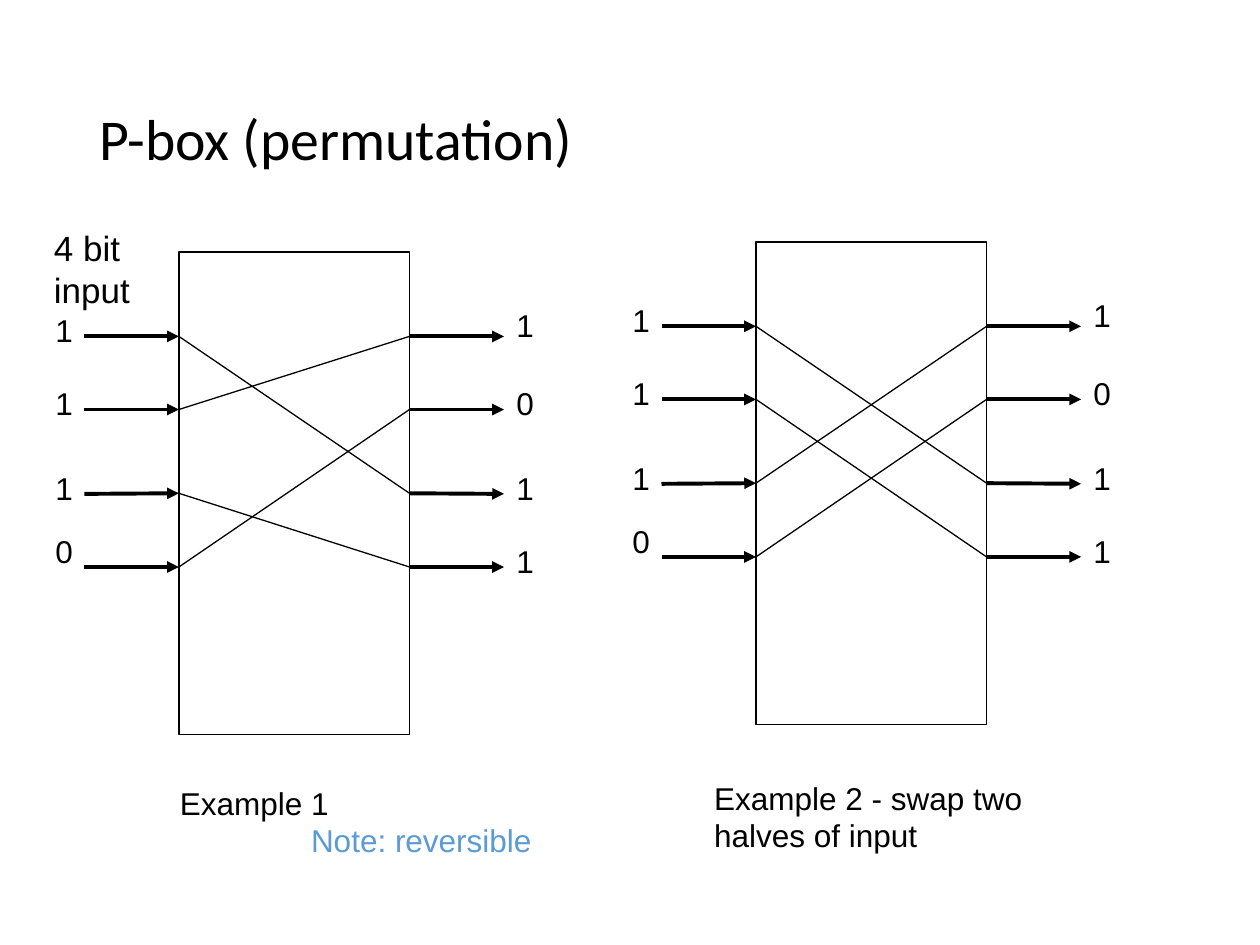
"""Build the slide that explains permutation boxes with two examples."""
from lxml import etree
from pptx import Presentation
from pptx.dml.color import RGBColor
from pptx.enum import shapes, text
from pptx.oxml import ns
from pptx.util import Inches, Pt

BLACK = RGBColor(0x00, 0x00, 0x00)
NOTE_BLUE = RGBColor(0x5B, 0x9B, 0xD5)

BOX_WIDTH, BOX_HEIGHT = 1.83, 3.83
ARROW_LENGTH = 0.75
LEFT_SIDE, RIGHT_SIDE = 1, 3
WIRE_ROWS = (0.67, 1.25, 1.92, 2.5)
MIDDLE_ROW = 2
INPUT_ROWS = (0.42, 1, 1.67, 2.17)
OUTPUT_ROWS = (0.38, 1, 1.67, 2.25)
INPUT_BITS, OUTPUT_BITS = "1110", "1011"


def write(paragraph, content, size=18, font="Arial", color=BLACK, indent=0, spacing=None):
    """Put formatted text into a paragraph."""
    paragraph.alignment = text.PP_ALIGN.LEFT
    paragraph.line_spacing = spacing
    if indent:
        paragraph._p.get_or_add_pPr().set("marL", str(Inches(indent)))
    run = paragraph.add_run()
    run.text = content
    run.font.size = Pt(size)
    run.font.name = font
    run.font.color.rgb = color


class PermutationSlide:
    """Hold the slide and its style, and add each kind of element."""

    thin, thick = Pt(0.75), Pt(2.25)

    def __init__(self, deck):
        self.slide = deck.slides.add_slide(deck.slide_layouts[5])

    def title(self, content, left, top, width, height):
        heading = self.slide.shapes.title
        heading.left, heading.top = Inches(left), Inches(top)
        heading.width, heading.height = Inches(width), Inches(height)
        heading.text_frame.vertical_anchor = text.MSO_ANCHOR.MIDDLE
        write(heading.text_frame.paragraphs[0], content, size=33, font="Calibri", spacing=0.9)

    def label(self, lines, left, top, width=0.39, height=0.5):
        frame = self.slide.shapes.add_textbox(
            Inches(left), Inches(top), Inches(width), Inches(height)).text_frame
        frame.word_wrap = True
        for number, (content, style) in enumerate(lines):
            paragraph = frame.add_paragraph() if number else frame.paragraphs[0]
            write(paragraph, content, **style)

    def box(self, left, top):
        box = self.slide.shapes.add_shape(
            shapes.MSO_SHAPE.RECTANGLE, Inches(left), Inches(top),
            Inches(BOX_WIDTH), Inches(BOX_HEIGHT))
        box.shadow.inherit = False
        box.fill.background()
        box.line.color.rgb = BLACK
        box.line.width = self.thin
        return box

    def wire(self, start, end, arrow=False, begin_at=None, end_at=None):
        wire = self.slide.shapes.add_connector(
            shapes.MSO_CONNECTOR.STRAIGHT, *map(Inches, start + end))
        wire.line.color.rgb = BLACK
        wire.line.width = self.thick if arrow else self.thin
        if arrow:
            etree.SubElement(wire.line._get_or_add_ln(), ns.qn("a:tailEnd"), type="triangle")
        etree.SubElement(wire._element.spPr, ns.qn("a:effectLst"))
        if begin_at:
            wire.begin_connect(*begin_at)
        if end_at:
            wire.end_connect(*end_at)

    def p_box(self, left, top, permutation):
        box = self.box(left, top)
        right = left + BOX_WIDTH

        def joint(row, side):
            return (box, side) if row == MIDDLE_ROW else None

        for row, target in enumerate(permutation):
            y = top + WIRE_ROWS[row]
            self.wire((left - ARROW_LENGTH, y), (left, y), arrow=True,
                      end_at=joint(row, LEFT_SIDE))
            self.wire((right, y), (right + ARROW_LENGTH, y), arrow=True,
                      begin_at=joint(row, RIGHT_SIDE))
            self.wire((left, y), (right, top + WIRE_ROWS[target]),
                      begin_at=joint(row, LEFT_SIDE), end_at=joint(target, RIGHT_SIDE))
            self.label([(INPUT_BITS[row], {})], left - 1.08, top + INPUT_ROWS[row])
            self.label([(OUTPUT_BITS[row], {})], right + ARROW_LENGTH, top + OUTPUT_ROWS[row])


def main():
    deck = Presentation()
    deck.slide_width, deck.slide_height = Inches(10), Inches(7.5)
    page = PermutationSlide(deck)
    page.title("P-box (permutation)", 0.69, 0.4, 8.62, 1.45)
    page.label([("4 bit", {"size": 20}), ("input", {"size": 20})], 0.33, 1.75, 0.85, 0.77)
    page.p_box(1.42, 2, permutation=(2, 0, 3, 1))
    page.p_box(6, 1.92, permutation=(2, 3, 0, 1))
    page.label([("Example 1", {}),
                ("Note: reversible", {"color": NOTE_BLUE, "indent": 1.04})],
               1.33, 6.17, 3.92, 0.9)
    page.label([("Example 2 - swap two", {}), ("halves of input", {})], 5.57, 6.13, 3.46, 0.9)
    deck.save("out.pptx")


if __name__ == "__main__":
    main()
